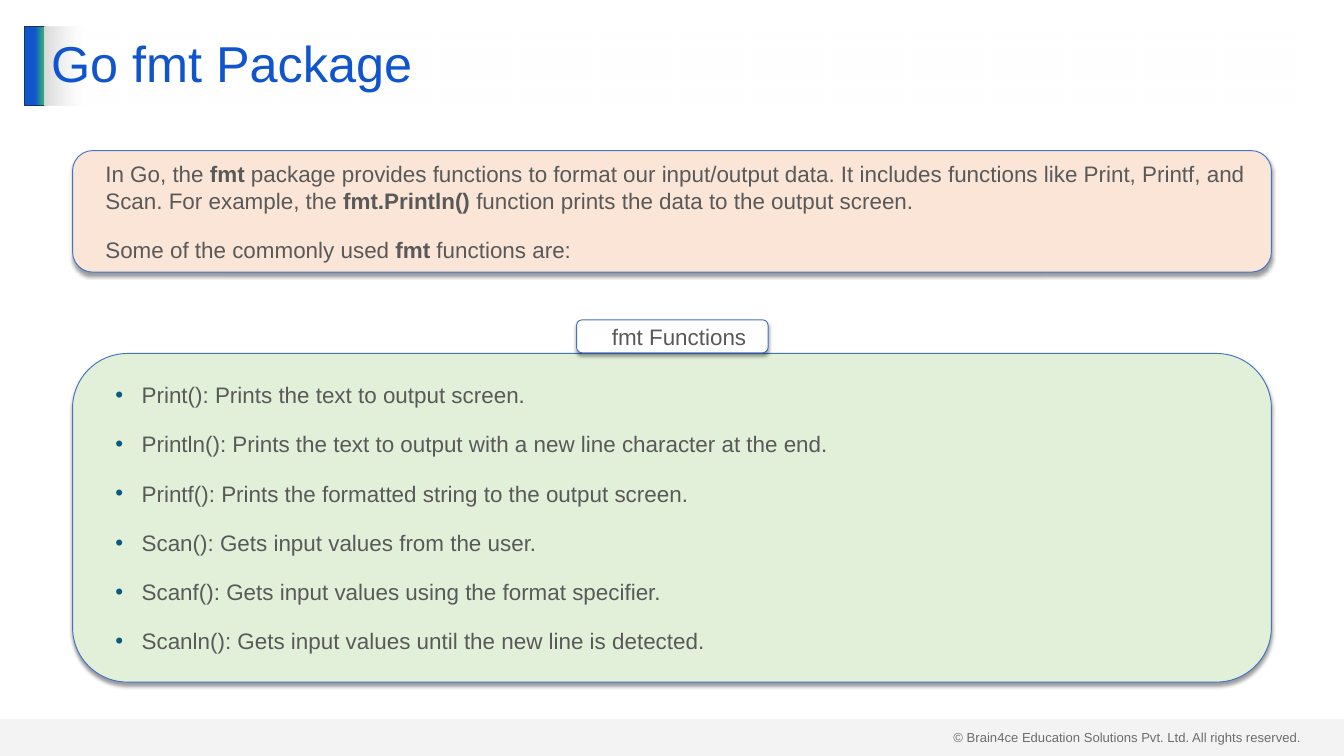
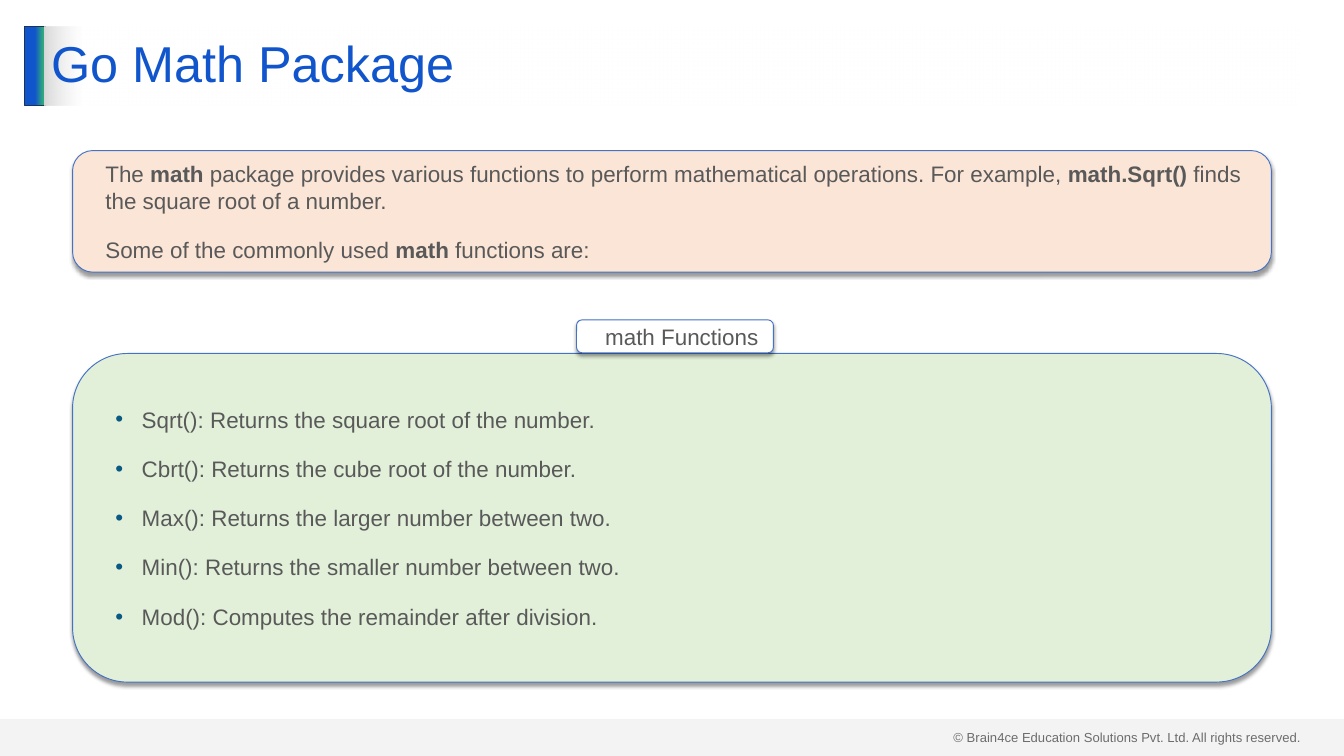
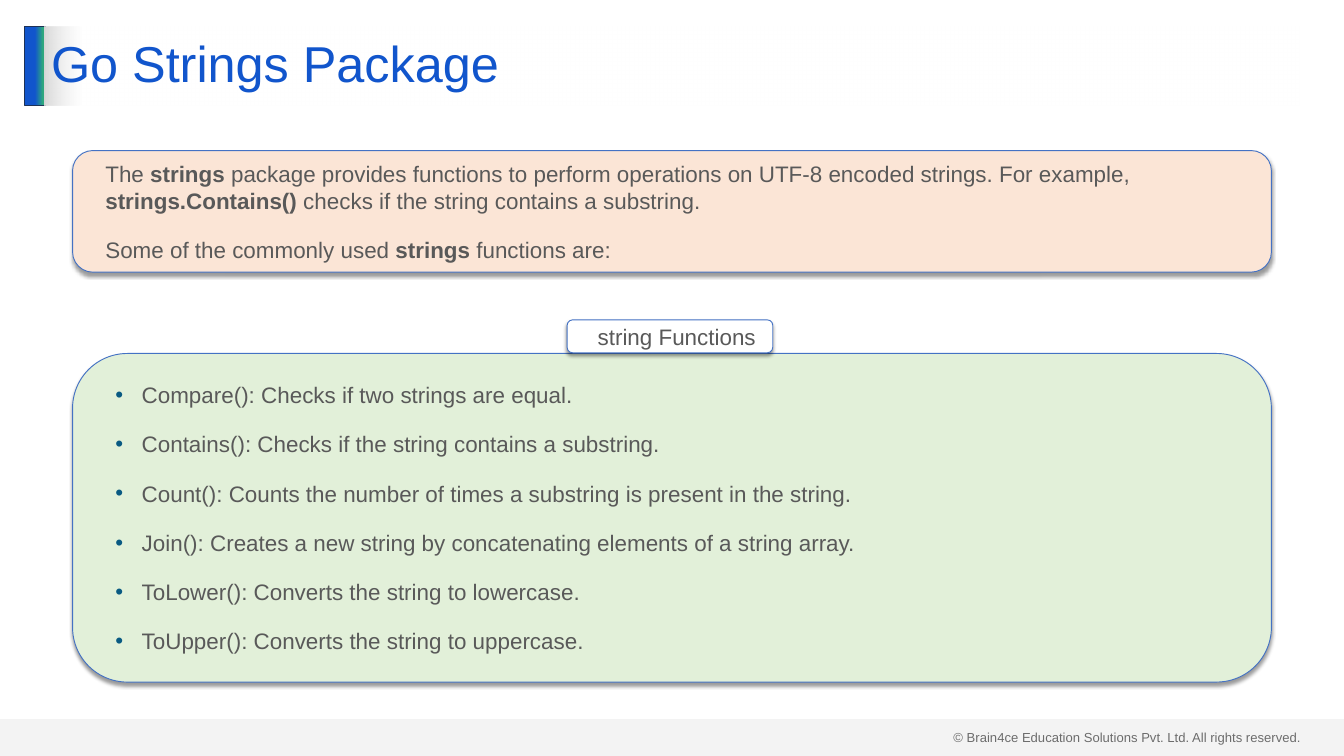
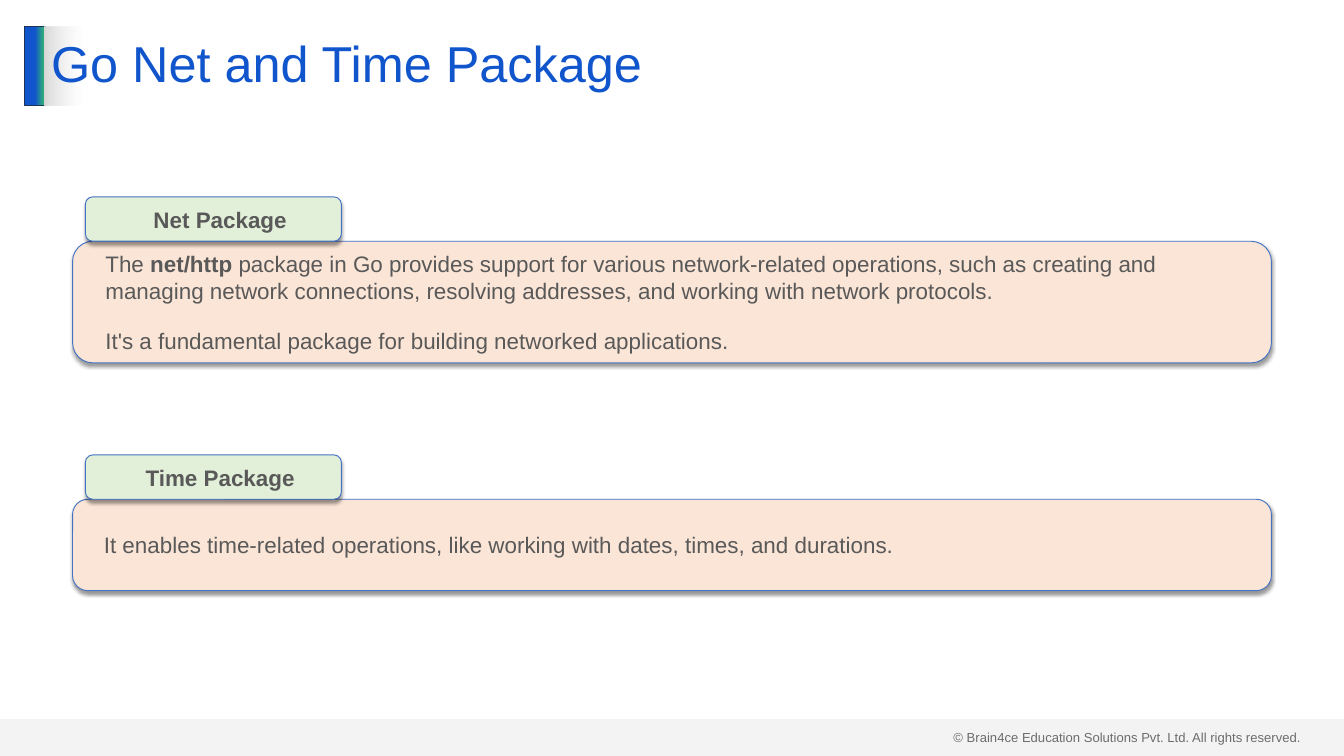
from lxml import etree
from pptx import Presentation, util as u
from pptx.dml.color import RGBColor
from pptx.enum import shapes, text
from pptx.oxml.ns import qn

HUES = {
    "blue": "1155CC", "teal": "2EA87D", "navy": "1E3256", "gray": "D9D9D9",
    "white": "FFFFFF", "ink": "595959", "foot": "404040", "edge": "4472C4",
    "peach": "FBE5D6", "mint": "E2F0D9", "dot": "095A82", "black": "000000",
}
FACE = "Arial"
LEFT, WIDE = 1.08, 17.84
BOX = shapes.MSO_SHAPE.RECTANGLE
ROUND = shapes.MSO_SHAPE.ROUNDED_RECTANGLE
ALIGN = text.PP_ALIGN

PACKS = [
    ("Go fmt Package",
     ["In Go, the **fmt** package provides functions to format our input/output data. "
      "It includes functions like Print, Printf, and Scan. For example, the "
      "**fmt.Println() **function prints the data to the output screen.",
      "Some of the commonly used **fmt** functions are:"],
     "fmt Functions", 8.58, 2.85,
     ["Print(): Prints the text to output screen.",
      "Println(): Prints the text to output with a new line character at the end.",
      "Printf(): Prints the formatted string to the output screen.",
      "Scan(): Gets input values from the user.",
      "Scanf(): Gets input values using the format specifier.",
      "Scanln(): Gets input values until the new line is detected."]),
    ("Go Math Package",
     ["The **math** package provides various functions to perform mathematical "
      "operations. For example, **math.Sqrt() **finds the square root of a number.",
      "Some of the commonly used **math** functions are:"],
     "math Functions", 8.58, 2.93,
     ["Sqrt(): Returns the square root of the number.",
      "Cbrt(): Returns the cube root of the number.",
      "Max(): Returns the larger number between two.",
      "Min(): Returns the smaller number between two.",
      "Mod(): Computes the remainder after division."]),
    ("Go Strings Package",
     ["The **strings** package provides functions to perform operations on UTF-8 "
      "encoded strings. For example, **strings.Contains() **checks if the string "
      "contains a substring.",
      "Some of the commonly used **strings** functions are:"],
     "string Functions", 8.44, 3.06,
     ["Compare(): Checks if two strings are equal.",
      "Contains(): Checks if the string contains a substring.",
      "Count(): Counts the number of times a substring is present in the string.",
      "Join(): Creates a new string by concatenating elements of a string array.",
      "ToLower(): Converts the string to lowercase.",
      "ToUpper(): Converts the string to uppercase."]),
]

TOPICS = [
    ("Net Package", 2.93, 1.81,
     ["The **net/http **package in Go provides support for various network-related "
      "operations, such as creating and managing network connections, resolving "
      "addresses, and working with network protocols.",
      "It's a fundamental package for building networked applications."]),
    ("Time Package", 6.77, 1.36,
     ["It enables time-related operations, like working with dates, times, and durations."]),
]


def rgb(hue):
    return RGBColor.from_string(HUES[hue])


def place(*spot):
    return [u.Inches(n) for n in spot]


def style(run, size, hue, bold=False):
    font = run.font
    font.name, font.size, font.bold = FACE, u.Pt(size), bold
    font.color.rgb = rgb(hue)


def tint(parent, hue, alpha=100):
    node = etree.SubElement(parent, qn("a:srgbClr"), val=HUES[hue])
    if alpha < 100:
        etree.SubElement(node, qn("a:alpha"), val=str(alpha * 1000))


def blend(shape, stops):
    shape.fill.gradient()
    shape.fill.gradient_angle = 0
    group = shape._element.spPr.find(".//" + qn("a:gsLst"))
    for old in list(group):
        group.remove(old)
    for pos, hue, alpha in stops:
        stop = etree.SubElement(group, qn("a:gs"), pos=str(pos * 1000))
        tint(stop, hue, alpha)


def shade(shape):
    shape.shadow.inherit = False
    group = shape._element.spPr.find(qn("a:effectLst"))
    drop = etree.SubElement(group, qn("a:outerShdw"), blurRad=str(u.Pt(4)),
                            dist=str(u.Pt(3)), dir="5400000", algn="t", rotWithShape="0")
    tint(drop, "black", 40)


def indent(para, left, first):
    props = para._p.get_or_add_pPr()
    props.set("marL", str(u.Inches(left)))
    props.set("indent", str(u.Inches(first)))
    return props


def bullet(para):
    props = indent(para, 0.59, -0.39)
    tint(etree.SubElement(props, qn("a:buClr")), "dot")
    etree.SubElement(props, qn("a:buFont"), typeface=FACE)
    etree.SubElement(props, qn("a:buChar"), char="•")


def panel(slide, spot, hue, lines, align=ALIGN.LEFT, listed=False):
    shape = slide.shapes.add_shape(ROUND, *place(*spot))
    shape.fill.solid()
    shape.fill.fore_color.rgb = rgb(hue)
    shape.line.color.rgb = rgb("edge")
    shape.line.width = u.Pt(1)
    shade(shape)
    frame = shape.text_frame
    frame.word_wrap = True
    frame.vertical_anchor = text.MSO_ANCHOR.MIDDLE
    frame.margin_left = frame.margin_right = u.Inches(0.2)
    frame.margin_top = frame.margin_bottom = u.Inches(0.1)
    for i, line in enumerate(lines):
        para = frame.add_paragraph() if i else frame.paragraphs[0]
        para.level, para.alignment = 1, align
        para.space_before, para.space_after = u.Pt(12 if i else 0), u.Pt(12)
        if listed:
            bullet(para)
        else:
            indent(para, 0.2, 0)
        for j, part in enumerate(line.split("**")):
            if part:
                run = para.add_run()
                run.text = part
                style(run, 24, "ink", j % 2 == 1)


def head(slide, words):
    title = slide.shapes.title
    title.left, title.top, title.width, title.height = place(0.66, 0.39, 18.67, 1.18)
    blend(title, [(0, "gray", 100), (3, "white", 50), (100, "white", 50)])
    frame = title.text_frame
    frame.text = words
    frame.auto_size = text.MSO_AUTO_SIZE.NONE
    frame.vertical_anchor = text.MSO_ANCHOR.MIDDLE
    para = frame.paragraphs[0]
    para.alignment, para.line_spacing = ALIGN.LEFT, 0.9
    style(para.runs[0], 54, "blue")


def dress(slide):
    note = slide.shapes.add_textbox(*place(14.09, 10.8, 5.41, 0.34))
    frame = note.text_frame
    frame.word_wrap = True
    frame.text = "© Brain4ce Education Solutions Pvt. Ltd. All rights reserved."
    style(frame.paragraphs[0].runs[0], 14, "foot")

    mark = slide.shapes.add_shape(BOX, *place(0.37, 0.39, 0.3, 1.18))
    blend(mark, [(51, "blue", 100), (90, "teal", 100), (100, "teal", 100)])
    mark.line.color.rgb = rgb("navy")
    mark.line.width = u.Pt(1)
    mark.shadow.inherit = False

    band = slide.shapes.add_shape(BOX, *place(0, 10.7, 20, 0.55))
    band.fill.solid()
    band.fill.fore_color.rgb = rgb("gray")
    hue = band._element.spPr.find(".//" + qn("a:srgbClr"))
    etree.SubElement(hue, qn("a:alpha"), val="29000")
    band.line.fill.background()
    band.shadow.inherit = False

    tree = slide.slide_layout.shapes._spTree
    for shape in (note, mark, band):
        tree.append(shape._element)


def main():
    deck = Presentation()
    deck.slide_width, deck.slide_height = place(20, 11.25)
    base = deck.slide_layouts[5]

    for i, (name, intro, label, left, width, calls) in enumerate(PACKS):
        slide = deck.slides.add_slide(base)
        if i == 0:
            dress(slide)
        head(slide, name)
        panel(slide, (LEFT, 2.24, WIDE, 1.81), "peach", intro)
        panel(slide, (LEFT, 5.26, WIDE, 4.89), "mint", calls, listed=True)
        panel(slide, (left, 4.76, width, 0.49), "white", [label], ALIGN.CENTER)

    slide = deck.slides.add_slide(base)
    head(slide, "Go Net and Time Package")
    for label, top, height, lines in TOPICS:
        panel(slide, (LEFT, top + 0.66, WIDE, height), "peach", lines)
        panel(slide, (1.27, top, 3.81, 0.66), "mint", [f"**{label}**"], ALIGN.CENTER)

    deck.save("out.pptx")


if __name__ == "__main__":
    main()
